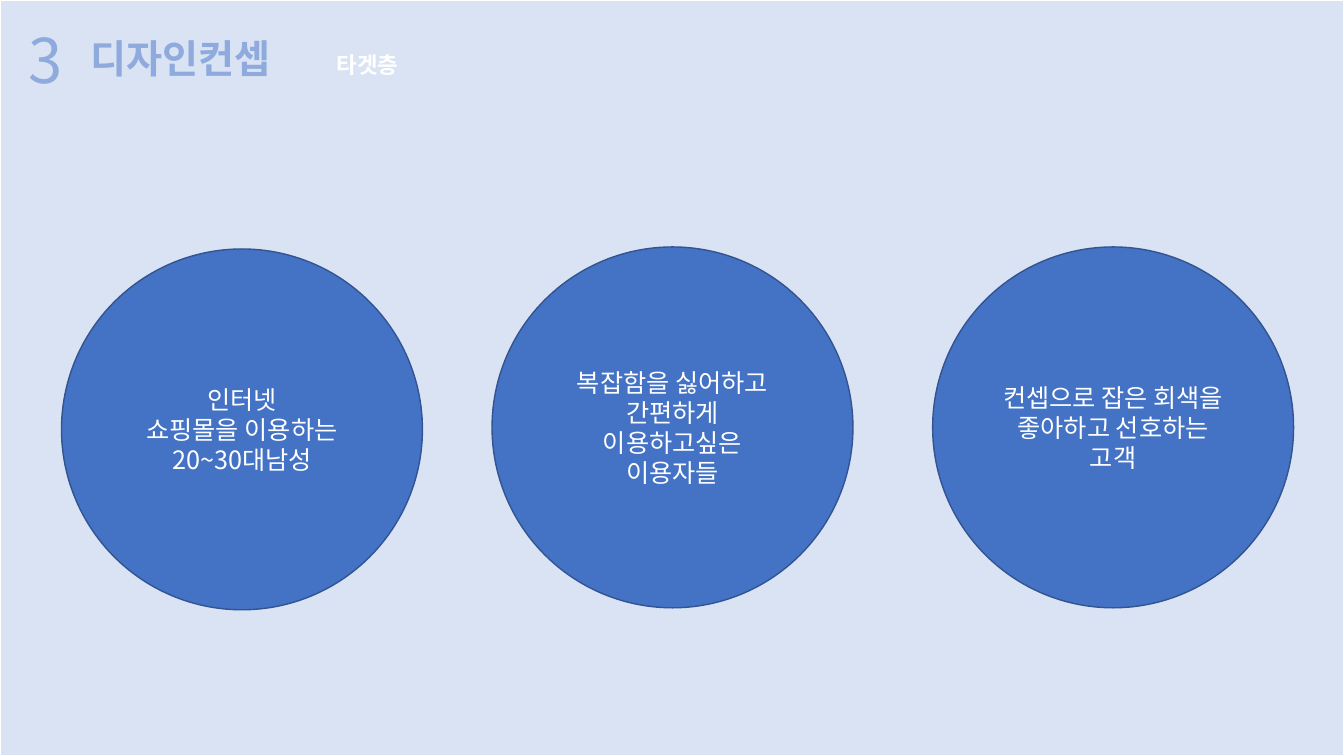
import pptx
import pptx.util
import pptx.dml.color
import pptx.enum.shapes
import pptx.enum.text
import pptx.oxml.ns
import lxml.etree

Inches = pptx.util.Inches
Color = pptx.dml.color.RGBColor
Kind = pptx.enum.shapes.MSO_SHAPE
Align = pptx.enum.text.PP_ALIGN
Anchor = pptx.enum.text.MSO_ANCHOR

PALE = Color(0xDA, 0xE3, 0xF3)
SOFT = Color(0x8F, 0xAA, 0xDC)
BLUE = Color(0x44, 0x72, 0xC4)
EDGE = Color(0x32, 0x54, 0x91)
WHITE = Color(0xFF, 0xFF, 0xFF)
FACE = "Noto Sans CJK KR"
WIDE, HIGH = 13.33, 7.5
SIZE = 3.58

HEADS = [
    ((0.18, 0.11, 5.5, 0.91), [("3", 44), (" ", 48)], SOFT, False),
    ((0.8, 0.29, 2.31, 0.57), [("디자인컨셉", 28)], SOFT, True),
    ((3.24, 0.46, 1.2, 0.37), [("타겟층", 16)], WHITE, True),
]
GOALS = [
    (0.61, 2.47, ["인터넷", "쇼핑몰을 이용하는 20~30대남성"]),
    (4.88, 2.45, ["복잡함을 싫어하고 간편하게 이용하고싶은 이용자들"]),
    (9.25, 2.45, ["컨셉으로 잡은 회색을 좋아하고 선호하는 고객"]),
]


def write(para, text, size, color, bold=False):
    run = para.add_run()
    run.text = text
    looks = {"name": FACE, "size": pptx.util.Pt(size), "bold": bold}
    for key, value in looks.items():
        setattr(run.font, key, value)
    run.font.color.rgb = color
    east = lxml.etree.SubElement(run.font._element, pptx.oxml.ns.qn("a:ea"))
    east.set("typeface", FACE)


def draw(slide, kind, box, fill, edge, width):
    shape = slide.shapes.add_shape(kind, *map(Inches, box))
    shape.shadow.inherit = False
    shape.fill.solid()
    shape.fill.fore_color.rgb = fill
    shape.line.color.rgb = edge
    shape.line.width = pptx.util.Pt(width)
    return shape


def main():
    deck = pptx.Presentation()
    deck.slide_width, deck.slide_height = Inches(WIDE), Inches(HIGH)
    slide = deck.slides.add_slide(deck.slide_layouts[6])
    draw(slide, Kind.RECTANGLE, (0, 0, WIDE, HIGH), PALE, WHITE, 1.5)

    for box, runs, color, bold in HEADS:
        frame = slide.shapes.add_textbox(*map(Inches, box)).text_frame
        frame.word_wrap = True
        for text, size in runs:
            write(frame.paragraphs[0], text, size, color, bold)

    for left, top, lines in GOALS:
        disc = draw(slide, Kind.OVAL, (left, top, SIZE, SIZE), BLUE, EDGE, 1)
        frame = disc.text_frame
        frame.word_wrap = True
        frame.vertical_anchor = Anchor.MIDDLE
        for i, line in enumerate(lines):
            para = frame.add_paragraph() if i else frame.paragraphs[0]
            para.alignment = Align.CENTER
            write(para, line, 18, WHITE)

    deck.save("out.pptx")


if __name__ == "__main__":
    main()
